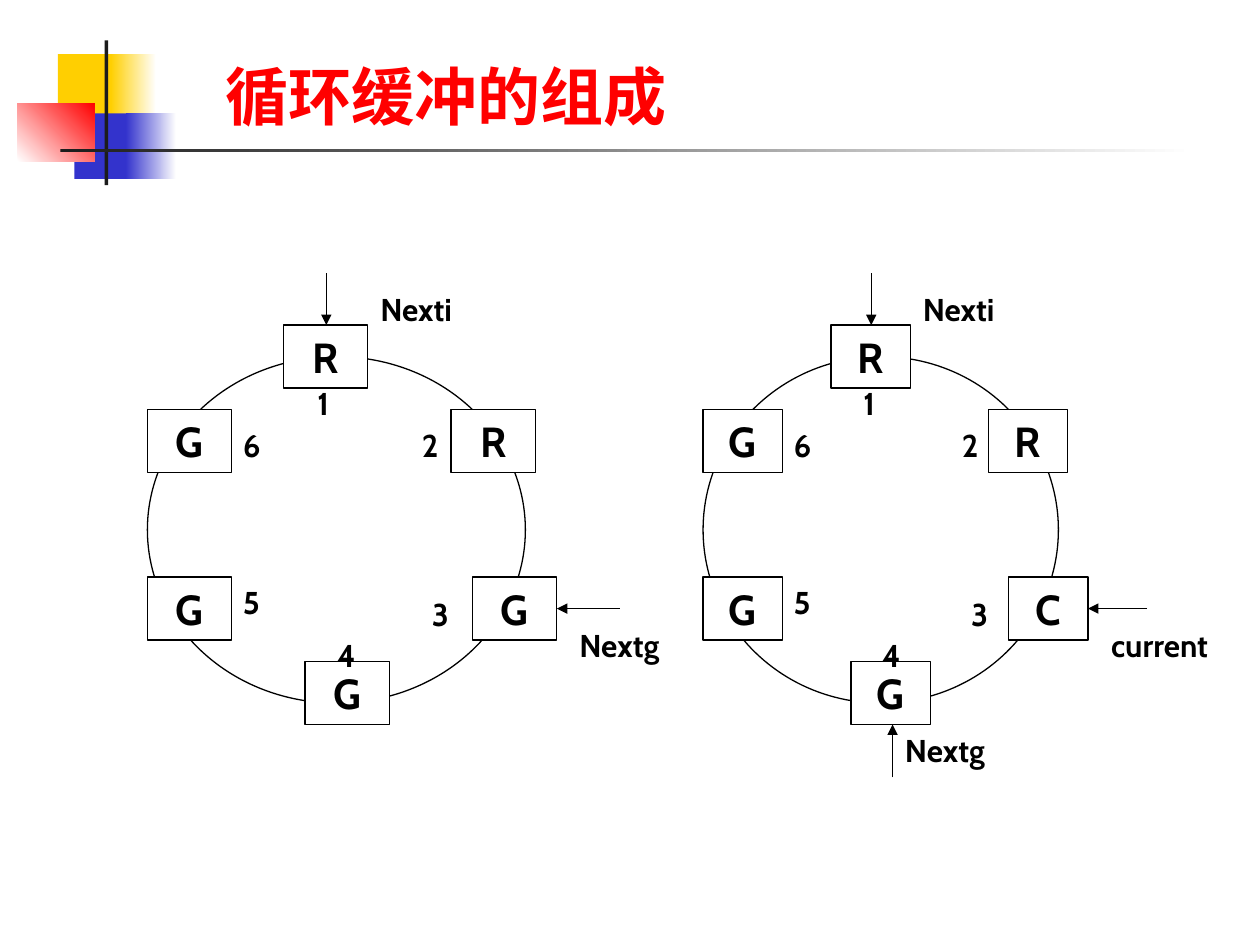
import pptx
import pptx.util
import pptx.dml.color
import pptx.enum.shapes
import pptx.enum.text
import pptx.oxml.ns
from lxml import etree

Inches = pptx.util.Inches
Pt = pptx.util.Pt
Kind = pptx.enum.shapes.MSO_SHAPE
Align = pptx.enum.text.PP_ALIGN
Anchor = pptx.enum.text.MSO_ANCHOR
qn = pptx.oxml.ns.qn


def tint(code):
    return pptx.dml.color.RGBColor.from_string(code)


class Deck:
    ink = "000000"
    paper = "FFFFFF"
    face = "Cabin"
    thin = Pt(0.75)

    def __init__(self):
        self.show = pptx.Presentation()
        self.show.slide_width = Inches(10)
        self.show.slide_height = Inches(7.5)
        self.slide = self.show.slides.add_slide(self.show.slide_layouts[5])
        self.home = self.slide.shapes

    def group(self):
        self.home = self.slide.shapes.add_group_shape().shapes

    def style(self, para, size, color, face):
        font = para.font
        font.size, font.bold, font.name = Pt(size), True, face
        font.color.rgb = tint(color)
        props = para._p.pPr.find(qn("a:defRPr"))
        etree.SubElement(props, qn("a:ea")).set("typeface", face)

    def title(self, text, *at):
        box = self.slide.shapes.title
        box.left, box.top, box.width, box.height = map(Inches, at)
        frame = box.text_frame
        frame.text = text
        frame.word_wrap = True
        frame.auto_size = pptx.enum.text.MSO_AUTO_SIZE.NONE
        frame.vertical_anchor = Anchor.BOTTOM
        para = frame.paragraphs[0]
        para.alignment = Align.LEFT
        self.style(para, 36, "FF0000", "Noto Sans CJK SC")

    def shape(self, kind, at, line=True):
        item = self.home.add_shape(kind, *map(Inches, at))
        item.shadow.inherit = False
        item.fill.solid()
        item.fill.fore_color.rgb = tint(self.paper)
        if line:
            item.line.color.rgb = tint(self.ink)
            item.line.width = self.thin
        else:
            item.line.fill.background()
        return item

    def block(self, at, start, end=None, angle=0):
        fill = self.shape(Kind.RECTANGLE, at, False).fill
        if end is None:
            fill.fore_color.rgb = tint(start)
            return
        fill.gradient()
        fill.gradient_angle = angle
        for stop, color in zip(fill.gradient_stops, (start, end)):
            stop.color.rgb = tint(color)

    def cell(self, text, *at):
        frame = self.shape(Kind.RECTANGLE, at).text_frame
        frame.text = text
        frame.word_wrap = False
        frame.vertical_anchor = Anchor.MIDDLE
        para = frame.paragraphs[0]
        para.alignment = Align.CENTER
        self.style(para, 24, self.ink, self.face)

    def label(self, text, *at):
        frame = self.home.add_textbox(*map(Inches, at)).text_frame
        frame.text = text
        frame.word_wrap = True
        self.style(frame.paragraphs[0], 18, self.ink, self.face)

    def arrow(self, *ends):
        straight = pptx.enum.shapes.MSO_CONNECTOR.STRAIGHT
        item = self.home.add_connector(straight, *map(Inches, ends))
        item.line.color.rgb = tint(self.ink)
        item.line.width = self.thin
        etree.SubElement(item.line._get_or_add_ln(), qn("a:tailEnd")).set("type", "triangle")
        etree.SubElement(item._element.spPr, qn("a:effectLst"))

    def ring(self, left, scale, names, notes, arrows):
        self.group()

        def across(x):
            return left + x * scale

        self.shape(Kind.OVAL, (left, 2.83, 3 * scale, 2.75))
        for name, (x, y) in zip(names, CELLS):
            self.cell(name, across(x), y, 0.67 * scale, 0.5)
        for count, (x, y) in enumerate(COUNTS, 1):
            self.label(str(count), across(x), y, 0.33 * scale, 0.4)
        for text, x, y in notes:
            self.label(text, across(x), y, 1.28, 0.4)
        for x1, y1, x2, y2 in arrows:
            self.arrow(across(x1), y1, across(x2), y2)


CELLS = [(1.08, 2.58), (2.41, 3.25), (2.58, 4.58), (1.25, 5.25), (0, 4.58), (0, 3.25)]
COUNTS = [(1.25, 3), (2.08, 3.33), (2.16, 4.67), (1.41, 5), (0.66, 4.58), (0.66, 3.33)]
FIRST = ("Nexti", 1.75, 2.25)
DOWN = (1.42, 2.17, 1.42, 2.58)
SIDE = (3.75, 4.83, 3.25, 4.83)


def main():
    deck = Deck()
    gold, blue, dark, white = "FFCF01", "3333CC", "1C1C1C", deck.paper
    deck.block((0.46, 0.43, 0.48, 0.52), gold)
    deck.block((0.88, 0.43, 0.36, 0.52), gold, white)
    deck.block((0.59, 0.9, 0.46, 0.52), blue)
    deck.block((1, 0.9, 0.4, 0.52), blue, white)
    deck.block((0.14, 0.82, 0.61, 0.46), white, "FF0000", 45)
    deck.block((0.83, 0.32, 0.03, 1.15), dark)
    deck.block((0.48, 1.18, 9, 0.03), dark, white)
    deck.title("循环缓冲的组成", 1.69, 0.28, 5.58, 0.83)
    deck.ring(1.17, 1, "RRGGGG", [FIRST, ("Nextg", 3.33, 4.92)], [DOWN, SIDE])
    deck.ring(
        5.58, 0.94, "RRCGGG",
        [FIRST, ("current", 3.34, 4.92), ("Nextg", 1.6, 5.75)],
        [DOWN, SIDE, (1.6, 6.17, 1.6, 5.75)],
    )
    deck.show.save("out.pptx")


if __name__ == "__main__":
    main()
